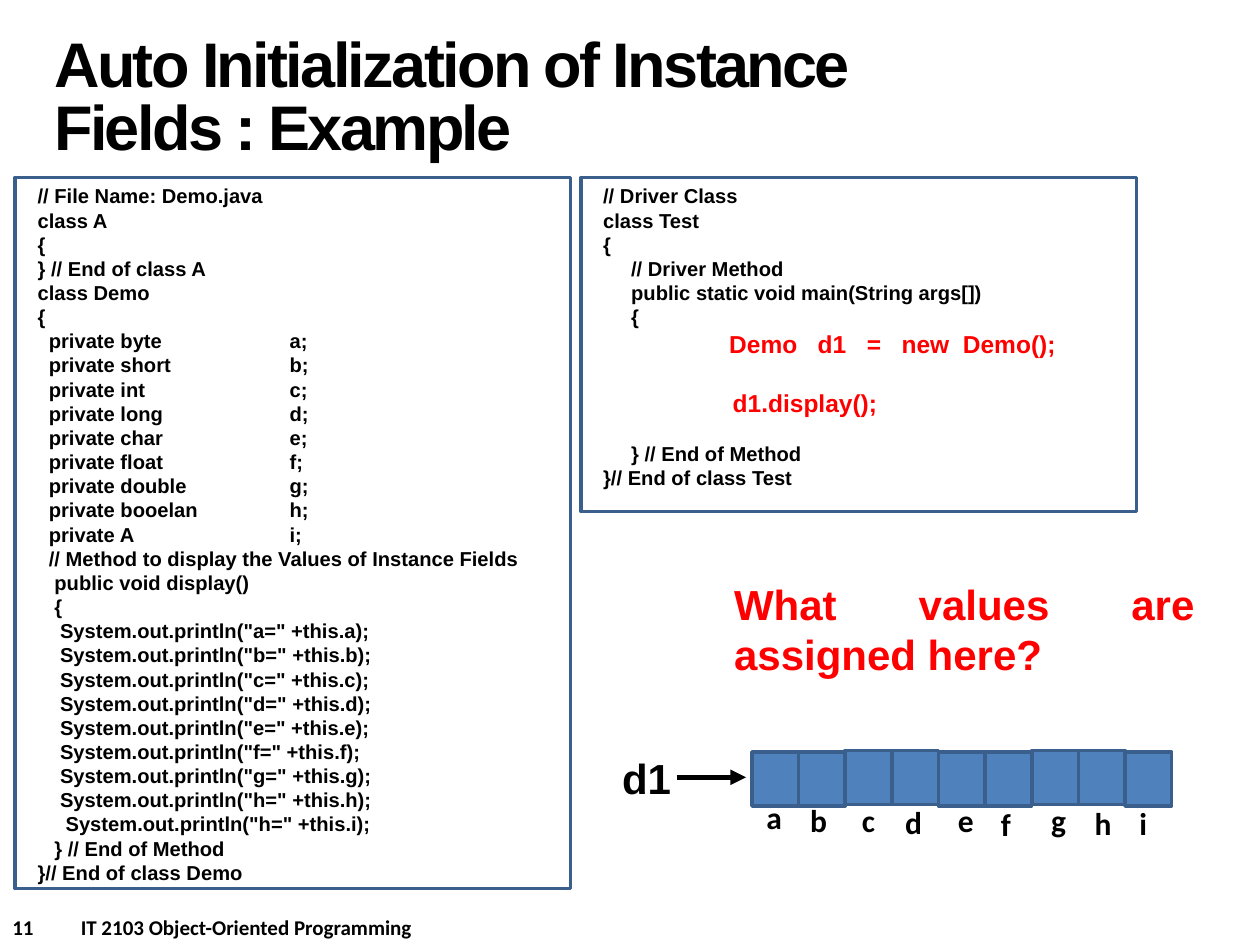
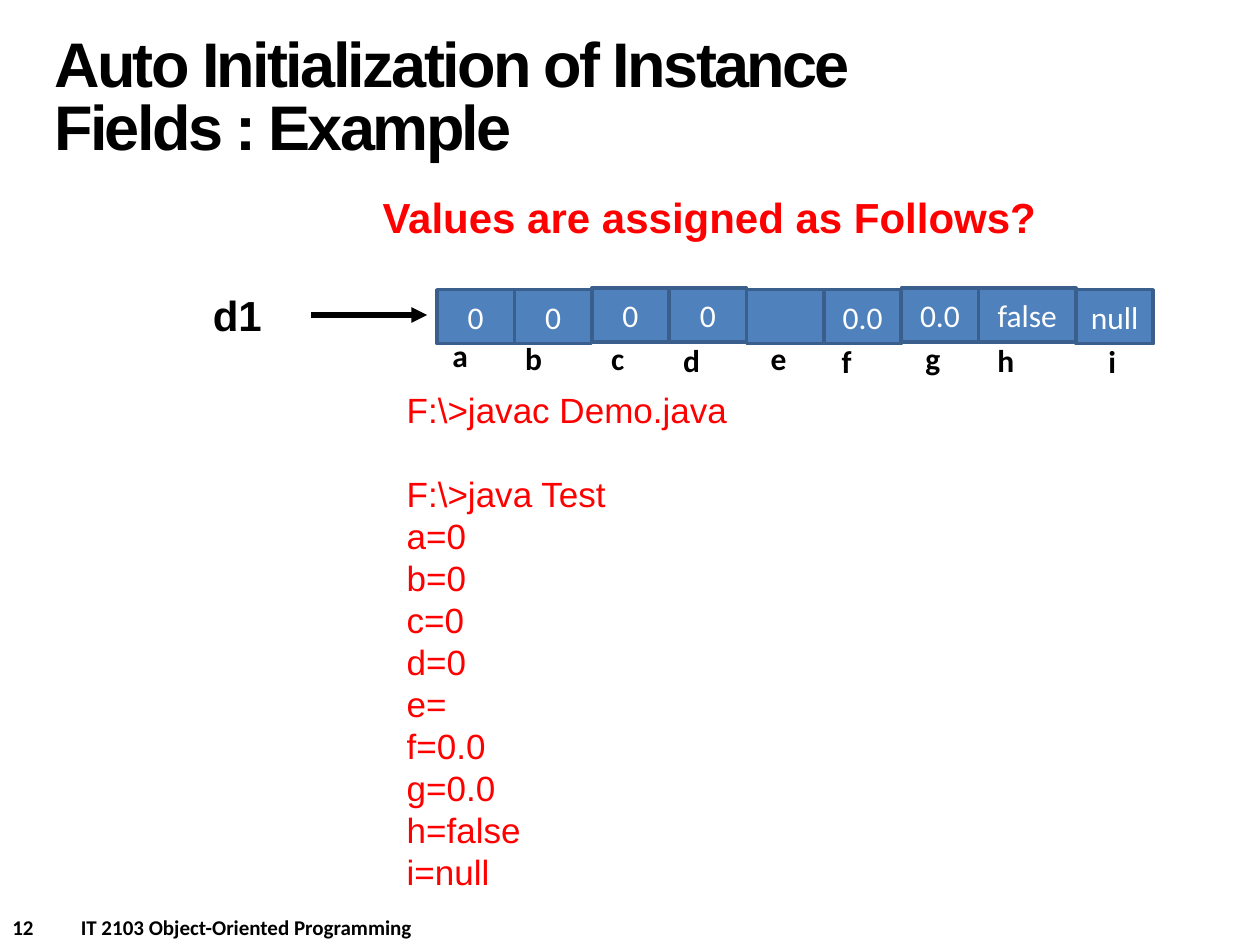
import pptx
import pptx.util
import pptx.dml.color
import pptx.enum.shapes
import pptx.enum.text
import pptx.oxml.ns
import lxml.etree

Cm, Pt = pptx.util.Cm, pptx.util.Pt
ALIGN = pptx.enum.text.PP_ALIGN
ANCHOR = pptx.enum.text.MSO_ANCHOR
qn = pptx.oxml.ns.qn

COLORS = {"ink": "000000", "accent": "FF0000", "cell": "4F81BD",
          "edge": "3A5F8C", "white": "FFFFFF"}
TITLE = "Auto Initialization of Instance Fields : Example"
COURSE = "IT 2103 Object-Oriented Programming"
FIELDS = "abcdefghi"
TYPES = ["byte", "short", "int", "long", "char", "float", "double", "booelan", "A"]
# Name offsets below the cells: across in cell widths, down in cm
NUDGES = [0.04, -0.02, 0.09, 0.02, 0.15, 0.07, 0.15, 0.08, 0.04]
DROPS = [0.81, 0.87, 0.86, 0.91, 0.86, 0.94, 0.86, 0.92, 0.93]


def rgb(name):
    return pptx.dml.color.RGBColor.from_string(COLORS[name])


class Deck:
    def __init__(self):
        self.prs = pptx.Presentation()
        self.prs.slide_width, self.prs.slide_height = Cm(25.4), Cm(19.05)
        self.s = None

    def slide(self, number):
        self.s = self.prs.slides.add_slide(self.prs.slide_layouts[5])
        self.title(TITLE)
        self.text(0, 18.31, 12.7, 0.76, [f"{number}\t{COURSE}"], 12,
                  font="Calibri", tab=1.38)

    def run(self, p, text, size, color="ink", bold=True, font="Arial"):
        r = p.add_run()
        r.text = text
        r.font.name, r.font.size, r.font.bold = font, Pt(size), bold
        r.font.color.rgb = rgb(color)
        return r

    def title(self, text):
        sp = self.s.shapes.title
        sp.left, sp.top, sp.width, sp.height = Cm(0.84), Cm(0.43), Cm(17.58), Cm(3.18)
        tf = sp.text_frame
        tf.word_wrap, tf.vertical_anchor = True, ANCHOR.MIDDLE
        tf.auto_size = pptx.enum.text.MSO_AUTO_SIZE.NONE
        p = tf.paragraphs[0]
        p.alignment, p.line_spacing = ALIGN.LEFT, Pt(36)
        r = self.run(p, text, 36)
        r._r.get_or_add_rPr().set("spc", "-150")

    def text(self, x, y, w, h, lines, size, color="ink", bold=True,
             font="Arial", align=ALIGN.LEFT, tab=None):
        """Each line is a string or a dict with its own text, size, color, before, indent."""
        tf = self.s.shapes.add_textbox(Cm(x), Cm(y), Cm(w), Cm(h)).text_frame
        tf.word_wrap = True
        for i, line in enumerate(lines):
            item = line if isinstance(line, dict) else {"text": line}
            p = tf.paragraphs[0] if i == 0 else tf.add_paragraph()
            p.alignment = align
            pPr = p._p.get_or_add_pPr()
            if "before" in item:
                p.space_before = Pt(item["before"])
            if "indent" in item:
                pPr.set("marL", str(Cm(item["indent"])))
            if tab and "\t" in item["text"]:
                stops = lxml.etree.SubElement(pPr, qn("a:tabLst"))
                lxml.etree.SubElement(stops, qn("a:tab"), pos=str(Cm(tab)), algn="l")
            self.run(p, item["text"], item.get("size", size),
                     item.get("color", color), bold, font)

    def box(self, x, y, w, h, fill=None, text=""):
        sp = self.s.shapes.add_shape(pptx.enum.shapes.MSO_SHAPE.RECTANGLE,
                                     Cm(x), Cm(y), Cm(w), Cm(h))
        sp.shadow.inherit = False
        if fill:
            sp.fill.solid()
            sp.fill.fore_color.rgb = rgb(fill)
        else:
            sp.fill.background()
        sp.line.color.rgb, sp.line.width = rgb("edge"), Pt(2)
        if text:
            tf = sp.text_frame
            tf.vertical_anchor = ANCHOR.MIDDLE
            tf.paragraphs[0].alignment = ALIGN.CENTER
            self.run(tf.paragraphs[0], text, 18, "white", False, "Calibri")

    def code(self, x, frame_x, frame_h, lines):
        self.text(x, 3.58, 10.39, frame_h, lines, 11.5, tab=5.08)
        self.box(frame_x, 3.58, 11.2, frame_h)

    def arrow(self, x1, x2, y):
        c = self.s.shapes.add_connector(pptx.enum.shapes.MSO_CONNECTOR.STRAIGHT,
                                        Cm(x1), Cm(y), Cm(x2), Cm(y))
        c.line.color.rgb, c.line.width = rgb("ink"), Pt(3)
        lxml.etree.SubElement(c.line._get_or_add_ln(), qn("a:tailEnd"), type="triangle")
        lxml.etree.SubElement(c._element.spPr, qn("a:effectLst"))

    def memory(self, x, y, widths, values, nudges):
        """Row of cells, one per field, with the field names below."""
        unit = widths[0]
        for i, (name, w, value) in enumerate(zip(FIELDS, widths, values)):
            raised = 0.03 if i % 4 >= 2 else 0
            self.box(x, y - raised, w, 1.09, "cell", value)
            self.text(x + nudges[i] * unit, y + DROPS[i], 1.2, 1.02, [name], 18,
                      font="Calibri")
            x += w


def main():
    d = Deck()

    # Slide 11: the class, its driver and the empty object
    d.slide(11)
    fields = [f"  private {t}\t{f};" for t, f in zip(TYPES, FIELDS)]
    prints = [f'    System.out.println("{f}=" +this.{f});' for f in FIELDS[:-1]]
    d.code(0.51, 0.3, 14.33, [
        "// File Name: Demo.java", "class A", "{", "} // End of class A",
        "class Demo", "{", *fields,
        "  // Method to display the Values of Instance Fields",
        "   public void display()", "   {", *prints,
        '     System.out.println("h=" +this.i);',
        "   } // End of Method", "}// End of class Demo"])
    call = {"size": 14, "color": "accent"}
    d.code(11.91, 11.71, 6.73, [
        "// Driver Class", "class Test", "{", "     // Driver Method",
        "     public static void main(String args[])", "     {",
        {"text": "Demo   d1   =   new  Demo();", "indent": 2.54, **call},
        {"text": "d1.display();", "indent": 2.61, "before": 16.8, **call},
        {"text": "     } // End of Method", "before": 14},
        "}// End of class Test"])
    d.text(12.29, 15.04, 1.6, 1.27, ["d1"], 24)
    d.arrow(13.64, 15.04, 15.67)
    d.memory(15.16, 15.16, [0.94] * 9, [""] * 9, NUDGES)
    d.text(14.55, 11.53, 9.78, 2.31, ["What values are assigned here?"], 24,
           "accent", align=ALIGN.JUSTIFY)

    # Slide 12: the default values and the program output
    d.slide(12)
    d.text(4.04, 5.72, 2.51, 1.27, ["d1"], 24)
    d.arrow(6.27, 8.61, 6.35)
    values = ["0", "0", "0", "0", "", "0.0", "0.0", "false", "null"]
    d.memory(8.81, 5.84, [1.56] * 7 + [1.96, 1.56], values, NUDGES[:-1] + [0.26])
    d.text(6.3, 3.73, 16, 1.27, ["Values are assigned as Follows?"], 24,
           "accent", align=ALIGN.CENTER)
    output = [f"{f}={v}" for f, v in zip(FIELDS, values)]
    d.text(7.95, 7.7, 12.7, 10.52,
           ["F:\\>javac Demo.java", {"text": "F:\\>java Test", "before": 24}, *output],
           20, "accent", bold=False)

    d.prs.save("out.pptx")


if __name__ == "__main__":
    main()
